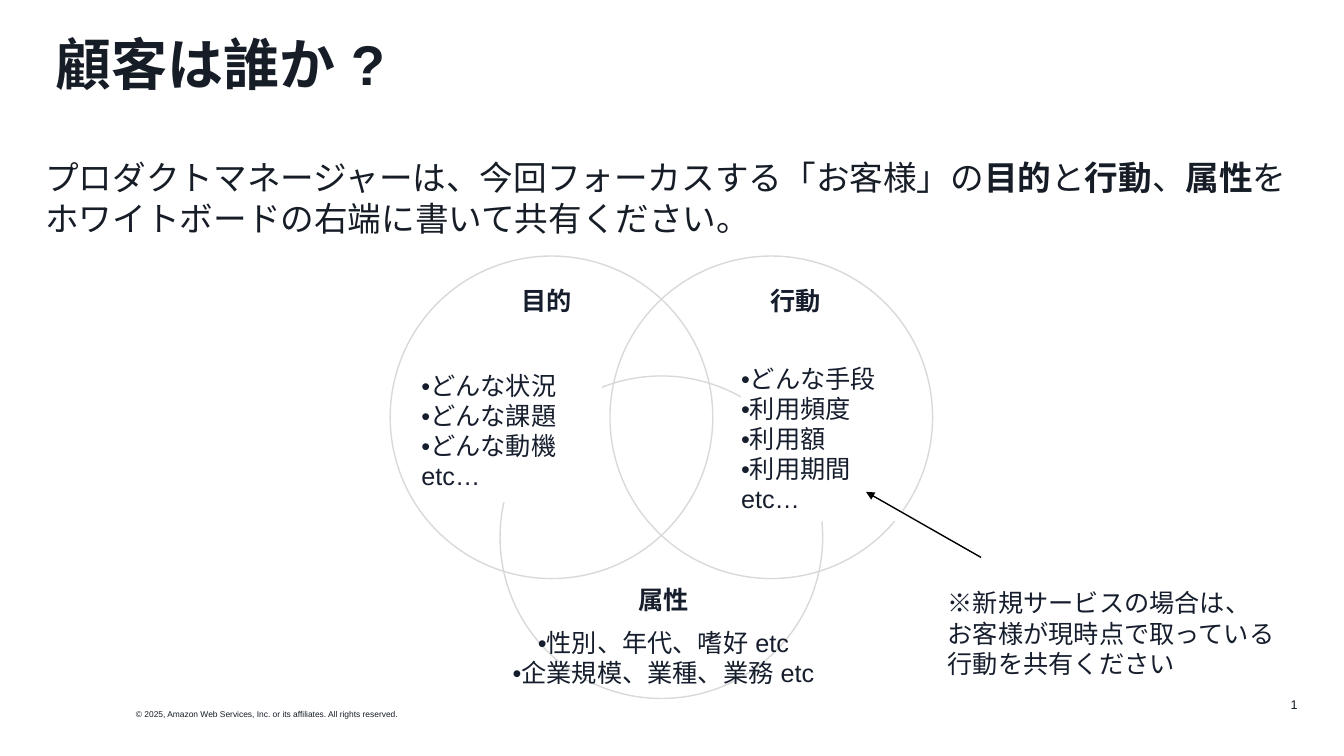
from lxml.etree import SubElement
from pptx import Presentation
from pptx.dml.color import RGBColor
from pptx.enum.shapes import MSO_CONNECTOR, MSO_SHAPE
from pptx.enum.text import MSO_ANCHOR, MSO_AUTO_SIZE, PP_ALIGN
from pptx.oxml.ns import qn
from pptx.util import Inches, Pt

FONT = "Arial"
COLORS = {
    "text": "161D26",
    "label": "161E2D",
    "ring": "D9D9D9",
    "panel": "FFFFFF",
    "arrow": "000000",
}
CIRCLE_SIZE = 3.2


def color(name):
    return RGBColor.from_string(COLORS[name])


def box(left, top, width, height):
    return [Inches(value) for value in (left, top, width, height)]


def format_run(run, size, color_name, bold=False):
    run.font.size = Pt(size)
    run.font.name = FONT
    run.font.bold = bold
    run.font.color.rgb = color(color_name)
    # East Asian characters use the same typeface
    SubElement(run._r.get_or_add_rPr(), qn("a:ea")).set("typeface", FONT)


def set_frame(text_frame, side_inset=0, anchor=MSO_ANCHOR.TOP, wrap=True):
    text_frame.word_wrap = wrap
    text_frame.auto_size = MSO_AUTO_SIZE.NONE
    text_frame.vertical_anchor = anchor
    text_frame.margin_left = text_frame.margin_right = Inches(side_inset)
    text_frame.margin_top = text_frame.margin_bottom = Inches(0.05)


def fill_text(text_frame, text, size=18, color_name="label", bold=False,
              align=PP_ALIGN.LEFT):
    text_frame.text = text
    for paragraph in text_frame.paragraphs:
        paragraph.alignment = align
        for run in paragraph.runs:
            format_run(run, size, color_name, bold)


def add_text(slide, place, text, side_inset=0, anchor=MSO_ANCHOR.TOP,
             wrap=True, **style):
    shape = slide.shapes.add_textbox(*box(*place))
    set_frame(shape.text_frame, side_inset, anchor, wrap)
    fill_text(shape.text_frame, text, **style)


def place_placeholder(shape, place):
    shape.left, shape.top, shape.width, shape.height = box(*place)


def add_title(slide, text):
    title = slide.shapes.title
    place_placeholder(title, (0.45, 0.32, 12.52, 0.68))
    set_frame(title.text_frame, side_inset=0.1)
    fill_text(title.text_frame, text, 40, "text", bold=True)
    title.text_frame.paragraphs[0].line_spacing = 0.9


def add_request(slide, parts):
    """Fill the body with (text, bold) parts in one paragraph."""
    body = slide.placeholders[1]
    place_placeholder(body, (0.45, 1.51, 12.52, 0.91))
    set_frame(body.text_frame)
    paragraph = body.text_frame.paragraphs[0]
    properties = paragraph._p.get_or_add_pPr()
    properties.set("marL", "0")
    properties.set("indent", "0")
    SubElement(properties, qn("a:buNone"))
    paragraph.space_before = Pt(0)
    paragraph.space_after = Pt(6)
    for text, bold in parts:
        run = paragraph.add_run()
        run.text = text
        format_run(run, 24, "text", bold)


def add_circle(slide, left, top):
    circle = slide.shapes.add_shape(
        MSO_SHAPE.OVAL, *box(left, top, CIRCLE_SIZE, CIRCLE_SIZE))
    circle.shadow.inherit = False
    circle.fill.background()
    circle.line.color.rgb = color("ring")
    circle.line.width = Pt(1)


def add_panel(slide, place, text):
    panel = slide.shapes.add_shape(MSO_SHAPE.RECTANGLE, *box(*place))
    panel.shadow.inherit = False
    panel.fill.solid()
    panel.fill.fore_color.rgb = color("panel")
    panel.line.fill.background()
    set_frame(panel.text_frame)
    fill_text(panel.text_frame, text)


def add_arrow(slide, start, end):
    points = [Inches(value) for value in (*start, *end)]
    arrow = slide.shapes.add_connector(MSO_CONNECTOR.STRAIGHT, *points)
    arrow.line.color.rgb = color("arrow")
    arrow.line.width = Pt(1)
    SubElement(arrow.line._get_or_add_ln(), qn("a:tailEnd")).set("type", "triangle")
    SubElement(arrow._element.spPr, qn("a:effectLst"))


def main():
    presentation = Presentation()
    presentation.slide_width = Inches(13.33)
    presentation.slide_height = Inches(7.5)
    slide = presentation.slides.add_slide(presentation.slide_layouts[1])

    # Footer
    add_text(slide, (1.25, 6.99, 2.87, 0.2),
             "© 2025, Amazon Web Services, Inc. or its affiliates. All rights reserved.",
             side_inset=0.1, wrap=False, size=6, color_name="text")
    add_text(slide, (9.97, 6.79, 3, 0.4), "1", side_inset=0.1,
             anchor=MSO_ANCHOR.MIDDLE, size=9, color_name="text",
             align=PP_ALIGN.RIGHT)

    # Heading and request
    add_title(slide, "顧客は誰か ?")
    add_request(slide, [
        ("プロダクトマネージャーは、今回フォーカスする「お客様」の", False),
        ("目的", True),
        ("と", False),
        ("行動", True),
        ("、", False),
        ("属性", True),
        ("をホワイトボードの右端に書いて共有ください。", False),
    ])

    # Venn diagram: circle position, then label position
    for circle_place, label, label_place in [
        ((3.87, 2.54), "目的", (4.31, 2.78)),
        ((6.05, 2.54), "行動", (6.78, 2.78)),
        ((4.96, 3.73), "属性", (5.47, 5.75)),
    ]:
        add_circle(slide, *circle_place)
        add_text(slide, (*label_place, 2.22, 0.4), label, bold=True,
                 align=PP_ALIGN.CENTER)

    # Details of each circle
    add_text(slide, (4.98, 6.17, 3.2, 0.71),
             "•性別、年代、嗜好 etc\n•企業規模、業種、業務 etc",
             align=PP_ALIGN.CENTER)
    add_panel(slide, (4.18, 3.62, 1.79, 1.36),
              "•どんな状況\n•どんな課題\n•どんな動機\netc…")
    add_panel(slide, (7.35, 3.55, 1.6, 1.62),
              "•どんな手段\n•利用頻度\n•利用額\n•利用期間\netc…")

    # Note on new services
    add_text(slide, (9.4, 5.78, 3.48, 1.01),
             "※新規サービスの場合は、\nお客様が現時点で取っている行動を共有ください")
    add_arrow(slide, (9.73, 5.53), (8.59, 4.88))

    presentation.save("out.pptx")


if __name__ == "__main__":
    main()
